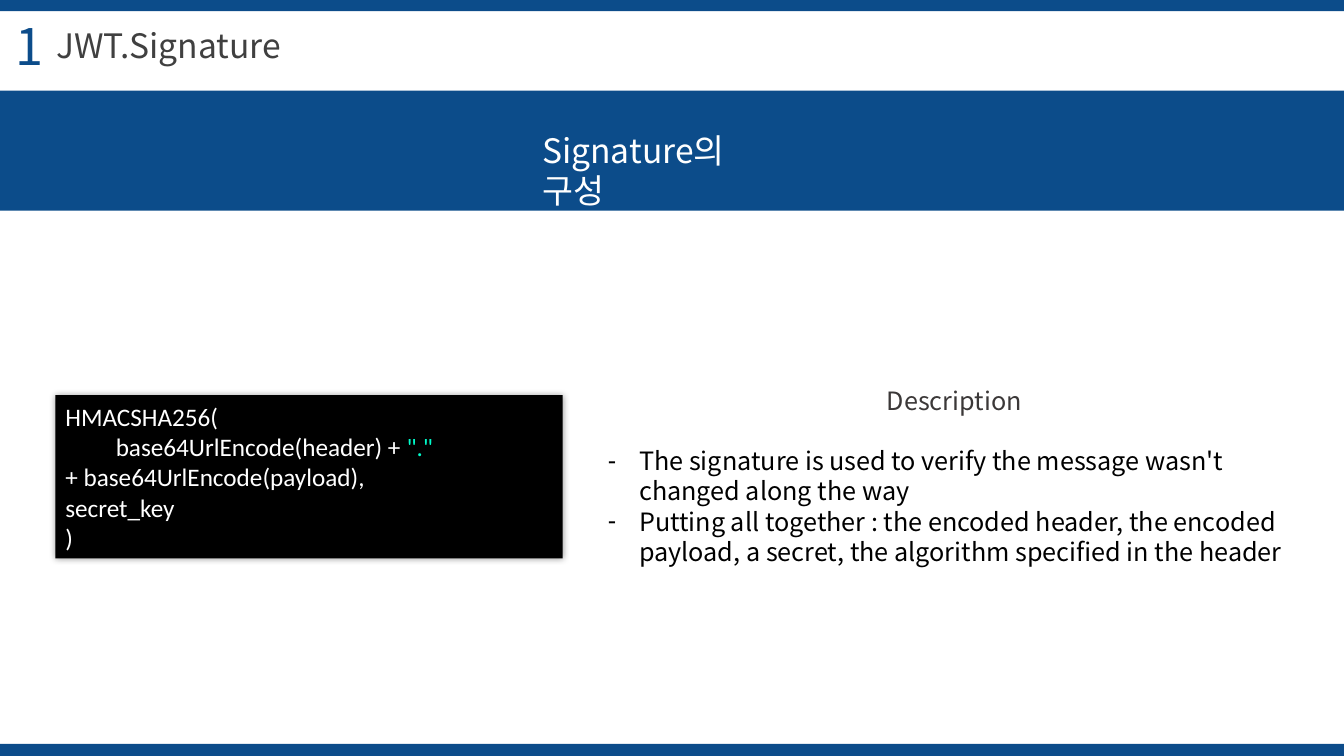
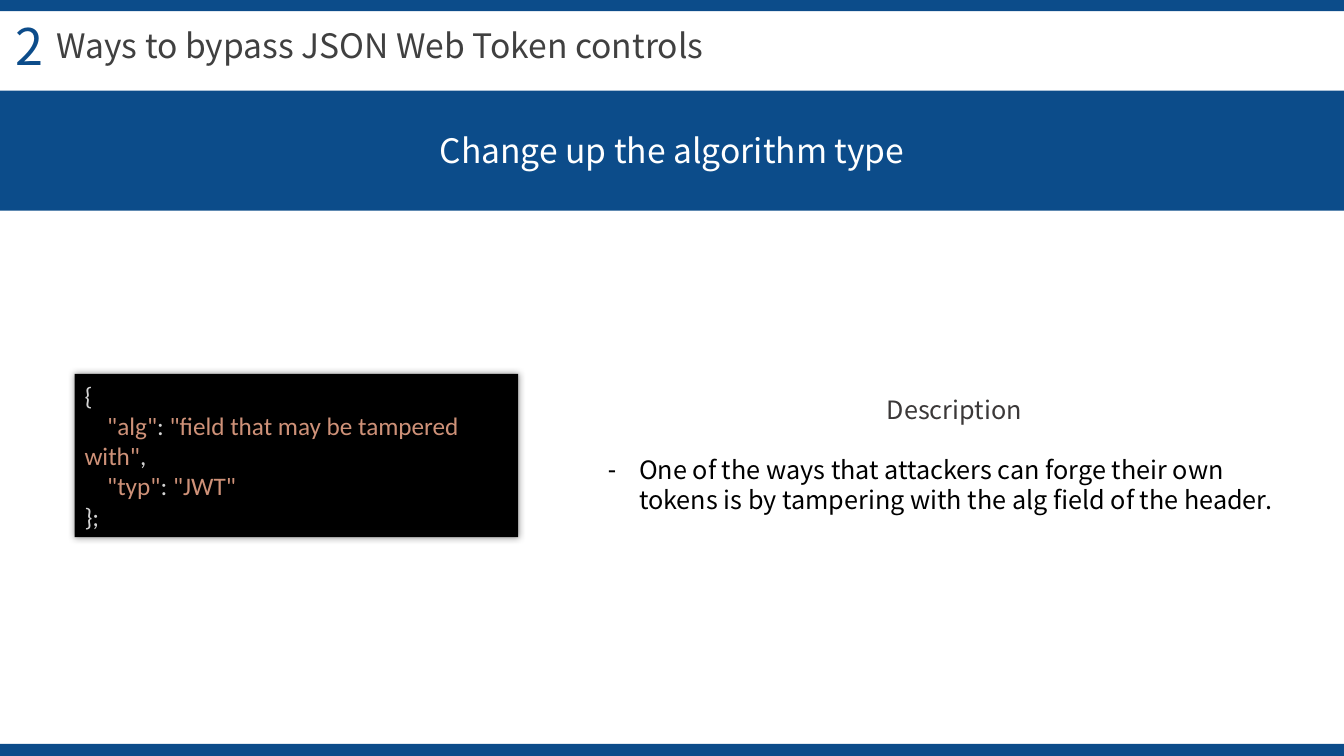
import pptx
import pptx.dml.color
import pptx.enum.shapes
import pptx.enum.text
import pptx.util
from lxml import etree
from pptx.util import Inches

SANS = "Noto Sans CJK KR"
MONO = "Calibri"
BLUE = "0C4C8A"
BLACK = "000000"
WHITE = "FFFFFF"
DARK = "404040"
HEAD = "3B3838"
MINT = "00FBCA"
RUST = "CE9178"
PALE = "D4D4D4"
WIDE = 13.33
BANDS = [(-0.01, 0.12), (0.9, 1.19), (7.38, 0.12)]
HANG = 0.31
LEFT = pptx.enum.text.PP_ALIGN.LEFT
MID = pptx.enum.text.PP_ALIGN.CENTER


def color(code):
    return pptx.dml.color.RGBColor.from_string(code)


def tag(node, name, **attrs):
    """Add a DrawingML child element."""
    return etree.SubElement(node, pptx.oxml.ns.qn("a:" + name), attrs)


def add_run(para, text, size, code, face=SANS):
    run = para.add_run()
    run.text = text
    run.font.size = pptx.util.Pt(size)
    run.font.name = face
    run.font.color.rgb = color(code)
    if face == SANS:
        tag(run.font._element, "ea", typeface=face)


def place(shape, left, top, width, height):
    shape.left, shape.top = Inches(left), Inches(top)
    shape.width, shape.height = Inches(width), Inches(height)


def set_frame(shape, anchor=pptx.enum.text.MSO_ANCHOR.TOP):
    frame = shape.text_frame
    frame.word_wrap = True
    frame.auto_size = pptx.enum.text.MSO_AUTO_SIZE.NONE
    frame.vertical_anchor = anchor
    return frame


def add_rect(slide, box, code):
    kind = pptx.enum.shapes.MSO_SHAPE.RECTANGLE
    rect = slide.shapes.add_shape(kind, *map(Inches, box))
    rect.shadow.inherit = False
    rect.fill.solid()
    rect.fill.fore_color.rgb = color(code)
    rect.line.fill.background()
    return rect


def add_text(slide, box, text, size, code, align=LEFT):
    frame = set_frame(slide.shapes.add_textbox(*map(Inches, box)))
    para = frame.paragraphs[0]
    para.alignment = align
    add_run(para, text, size, code)


def add_base(deck, number, title):
    """Start a slide with its bands, number and title."""
    slide = deck.slides.add_slide(deck.slide_layouts[1])
    for top, height in BANDS:
        add_rect(slide, (0, top, WIDE, height), BLUE)
    add_text(slide, (0.06, 0.1, 0.49, 0.71), number, 36, BLUE)
    place(slide.shapes.title, 0.46, 0.2, 12, 0.5)
    para = set_frame(slide.shapes.title).paragraphs[0]
    para.alignment = LEFT
    add_run(para, title, 24, DARK)
    return slide


def add_code(slide, box, lines):
    """Draw a code panel; each line is a list of (text, colour)."""
    panel = add_rect(slide, box, BLACK)
    glow = tag(panel._element.spPr.find(pptx.oxml.ns.qn("a:effectLst")),
               "outerShdw", blurRad=str(pptx.util.Pt(5)), dist="0",
               algn="ctr", rotWithShape="0")
    tag(tag(glow, "srgbClr", val=BLACK), "alpha", val="40000")
    frame = set_frame(panel, pptx.enum.text.MSO_ANCHOR.MIDDLE)
    for i, line in enumerate(lines):
        para = frame.add_paragraph() if i else frame.paragraphs[0]
        para.alignment = LEFT
        for text, code in line:
            add_run(para, text, 18, code, MONO)


def indent(para, left, first):
    props = para._p.get_or_add_pPr()
    props.set("marL", str(Inches(left)))
    props.set("indent", str(Inches(first)))
    return props


def add_notes(slide, top, height, items):
    """Fill the body with a centred heading and a dashed list."""
    body = slide.placeholders[1]
    place(body, 5.93, top, 7.07, height)
    frame = set_frame(body)
    head = frame.paragraphs[0]
    tag(indent(head, 0, 0), "buNone")
    head.alignment = MID
    head.space_before = pptx.util.Pt(0)
    add_run(head, "Description", 18, HEAD)
    for i, item in enumerate(items):
        para = frame.add_paragraph()
        tag(indent(para, HANG, -HANG), "buChar", char="-")
        para.space_before = pptx.util.Pt(0 if i else 21.5)
        add_run(para, item, 18, BLACK)


def main():
    deck = pptx.Presentation()
    deck.slide_width, deck.slide_height = Inches(WIDE), Inches(7.5)

    slide = add_base(deck, "1", "JWT.Signature")
    add_text(slide, (5.28, 1.24, 2.6, 0.9), "Signature의 구성", 24, WHITE)
    add_code(slide, (0.55, 3.92, 5.03, 1.62), [
        [("HMACSHA256(", WHITE)],
        [("\tbase64UrlEncode(header) + ", WHITE), ('"."', MINT)],
        [("+ base64UrlEncode(payload),", WHITE)],
        [("secret_key", WHITE)],
        [(")", WHITE)],
    ])
    add_notes(slide, 3.77, 1.92, [
        "The signature is used to verify the message wasn't changed along "
        "the way",
        "Putting all together : the encoded header, the encoded payload, "
        "a secret, the algorithm specified in the header",
    ])

    slide = add_base(deck, "2", "Ways to bypass JSON Web Token controls")
    add_text(slide, (4.22, 1.24, 4.89, 0.5), "Change up the algorithm type",
             24, WHITE, MID)
    add_code(slide, (0.74, 3.71, 4.4, 1.62), [
        [("{", PALE)],
        [('    "alg"', RUST), (": ", PALE),
         ('"field that may be tampered with"', RUST), (",", PALE)],
        [('    "typ"', RUST), (": ", PALE), ('"JWT"', RUST)],
        [("};", PALE)],
    ])
    add_notes(slide, 3.86, 1.31, [
        "One of the ways that attackers can forge their own tokens is by "
        "tampering with the alg field of the header.",
    ])
    deck.save("out.pptx")


if __name__ == "__main__":
    main()
